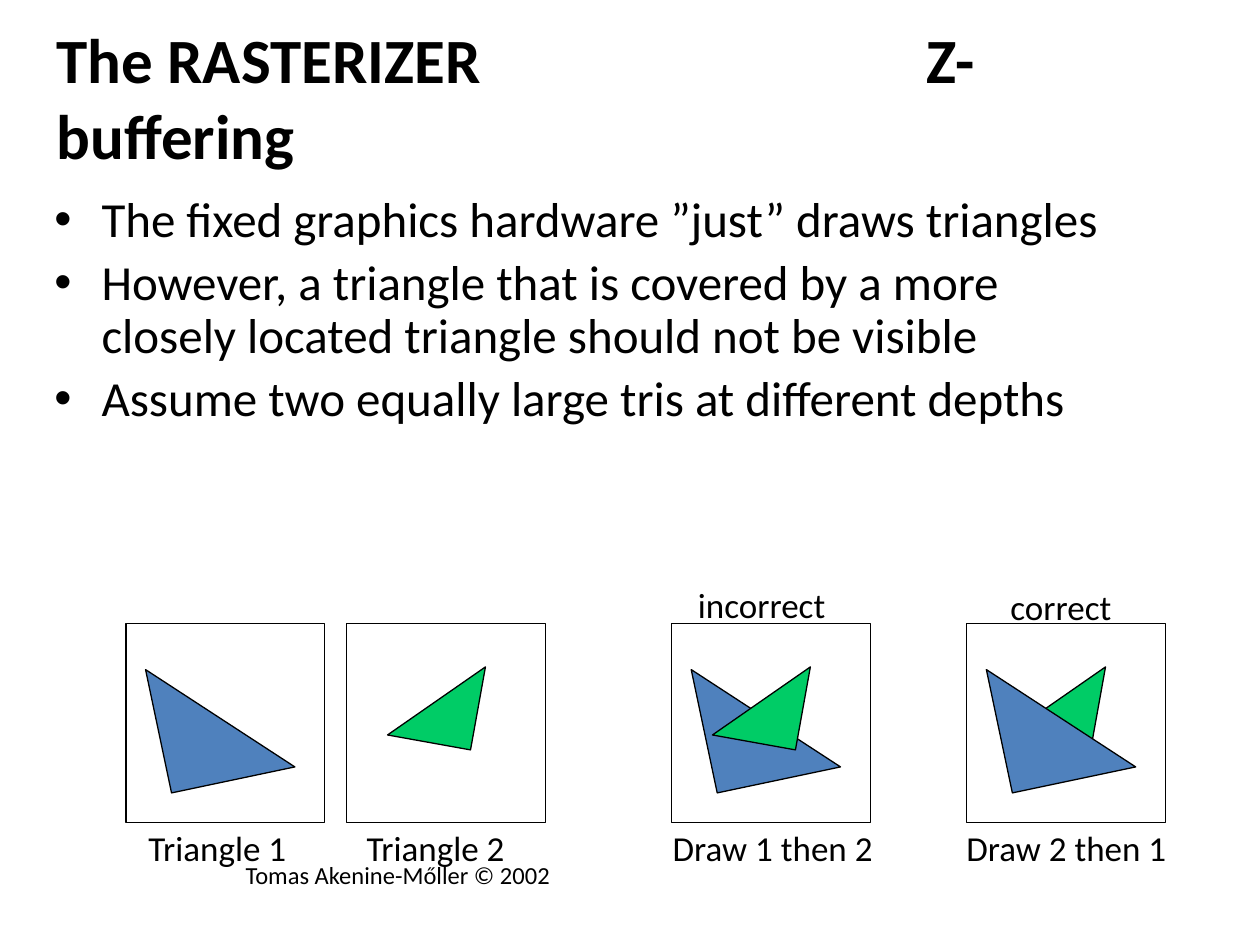
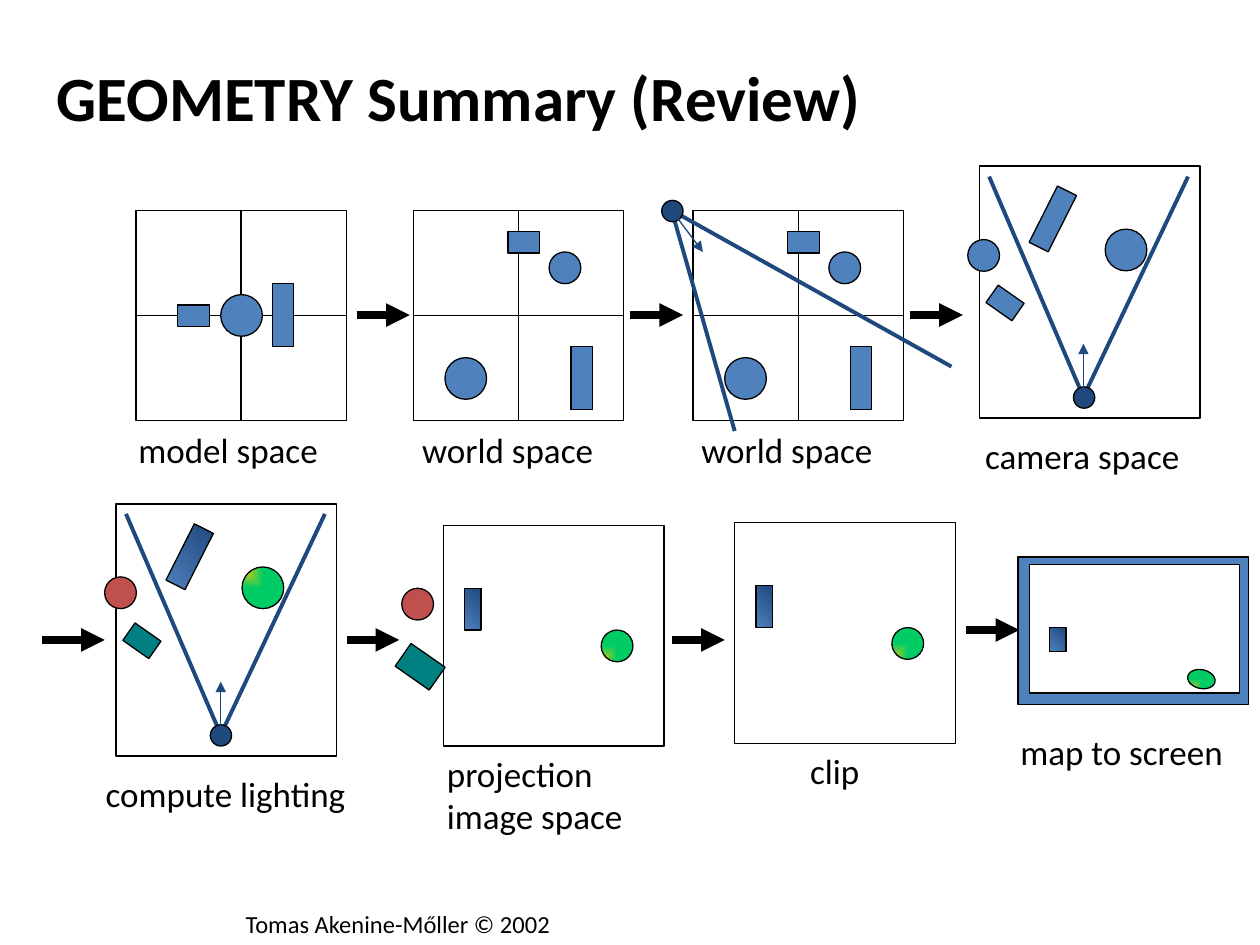
"""Builds two slides on Z-buffering and the geometry stage."""
from lxml import etree
from pptx import Presentation
from pptx import util as u
from pptx.dml.color import RGBColor
from pptx.enum import shapes, text
from pptx.oxml.ns import qn

BLACK, WHITE = "000000", "FFFFFF"
BLUE, NAVY, GREEN = "4F81BD", "1F497D", "00CC66"
RED, TEAL, GOLD = "C0504D", "008080", "FFCC00"
METAL = (BLUE, NAVY, None)
GLOW_TOP = (GOLD, GREEN, {"r": "100000", "b": "100000"})
GLOW_LOW = (GOLD, GREEN, {"t": "100000", "r": "100000"})

FONT = {"name": "Calibri", "size": u.Pt(20), "bold": False}
HEAD = {"size": u.Pt(36), "bold": True}
LIST = {"size": u.Pt(28)}
NOTE = {"size": u.Pt(14)}
KIND = shapes.MSO_SHAPE
RECT, OVAL, WEDGE = KIND.RECTANGLE, KIND.OVAL, KIND.RIGHT_TRIANGLE
CREDIT = "Tomas Akenine-Mőller © 2002"
CELL = 1.67
MID = CELL / 2


def cm(*vals):
    """Turn inches into lengths given with Cm."""
    return [u.Cm(round(val * 2.54, 2)) for val in vals]


def ink(code):
    """Turn a hex string into a colour."""
    return RGBColor.from_string(code)


def put(item, vals):
    """Set attributes of an item from a dict."""
    for key, val in vals.items():
        setattr(item, key, val)


def write(frame, lines, look):
    """Write lines into a text frame, one paragraph each."""
    put(frame, {"word_wrap": True, "auto_size": text.MSO_AUTO_SIZE.NONE})
    for num, line in enumerate(lines):
        para = frame.paragraphs[0] if num == 0 else frame.add_paragraph()
        para.alignment = text.PP_ALIGN.LEFT
        run = para.add_run()
        run.text = line
        put(run.font, {**FONT, **look})
        run.font.color.rgb = ink(BLACK)
    frame.paragraphs[0].space_before = u.Pt(0)


def place(item, box):
    """Move and size an item to a box."""
    put(item, dict(zip(("left", "top", "width", "height"), cm(*box))))


def label(slide, words, box, look=None, anchor=text.MSO_ANCHOR.TOP):
    """Add a text box."""
    item = slide.shapes.add_textbox(*cm(*box))
    item.text_frame.vertical_anchor = anchor
    write(item.text_frame, words.split("\n"), look or {})


def blend(item, first, last, focus):
    """Fill a shape with a slanted blend, or one from a corner."""
    item.fill.gradient()
    item.fill.gradient_angle = 45
    for stop, code in zip(item.fill.gradient_stops, (first, last)):
        stop.color.rgb = ink(code)
    grad = item.element.spPr.find(qn("a:gradFill"))
    grad.set("rotWithShape", "0")
    if focus:
        grad.remove(grad.find(qn("a:lin")))
        way = etree.SubElement(grad, qn("a:path"), {"path": "rect"})
        etree.SubElement(way, qn("a:fillToRect"), focus)


def form(slide, kind, box, fill=None, turn=0):
    """Add a thinly outlined preset shape."""
    item = slide.shapes.add_shape(kind, *cm(*box))
    item.shadow.inherit = False
    item.rotation = turn
    item.line.width = u.Pt(0.75)
    item.line.color.rgb = ink(BLACK)
    if fill is None:
        item.fill.background()
    elif isinstance(fill, tuple):
        blend(item, *fill)
    else:
        item.fill.solid()
        item.fill.fore_color.rgb = ink(fill)


def line(slide, ends, width=0.75, code=BLACK, arrow=False):
    """Add a straight line, with an arrowhead if asked."""
    item = slide.shapes.add_connector(shapes.MSO_CONNECTOR.STRAIGHT, *cm(*ends))
    item.line.width = u.Pt(width)
    item.line.color.rgb = ink(code)
    if arrow:
        etree.SubElement(item.line._get_or_add_ln(), qn("a:tailEnd"), type="triangle")
    etree.SubElement(item.element.spPr, qn("a:effectLst"))


def step(slide, x, y, size=0.42):
    """Add a thick arrow between two stages."""
    line(slide, (x, y, x + size, y), 4.5, arrow=True)


def base(deck, layout, title, width, foot):
    """Add a slide with its title and footer."""
    slide = deck.slides.add_slide(deck.slide_layouts[layout])
    place(slide.shapes.title, (0.35, 0.35, width, 0.83))
    frame = slide.shapes.title.text_frame
    frame.vertical_anchor = text.MSO_ANCHOR.MIDDLE
    write(frame, [title], HEAD)
    label(slide, CREDIT, (1.85, foot, 4.4, 0.18), NOTE, text.MSO_ANCHOR.MIDDLE)
    return slide


def depth(slide, x, y, order, name, inset, width):
    """Draw a frame with its triangles in the given order."""
    parts = {1: ((x + 0.25, y + 0.25, 1, 1), BLUE, 348.1),
             2: ((x + 0.38, y + 0.28, 0.67, 0.67), GREEN, 280.2)}
    form(slide, RECT, (x, y, 1.58, 1.58))
    for num in order:
        box, fill, turn = parts[num]
        form(slide, WEDGE, box, fill, turn)
    label(slide, name, (x + inset, y + 1.56, width, 0.43))


def grid(slide, x, y, name, inset, width):
    """Draw a square with axes and a name below."""
    form(slide, RECT, (x, y, CELL, CELL))
    line(slide, (x, y + MID, x + CELL, y + MID))
    line(slide, (x + MID, y + CELL, x + MID, y))
    label(slide, name, (x + inset, y + 1.68, width, 0.43))


def model(slide, x, y):
    """Draw the model space stage."""
    grid(slide, x, y, "model space", -0.08, 1.78)
    form(slide, OVAL, (x + 0.67, y + 0.67, 0.33, 0.33), BLUE)
    form(slide, RECT, (x + 0.33, y + 0.75, 0.25, 0.17), BLUE)
    form(slide, RECT, (x + 1.08, y + 0.58, 0.17, 0.5), BLUE)


def world(slide, x, y):
    """Draw the world space stage."""
    grid(slide, x, y, "world space", -0.03, 1.68)
    form(slide, OVAL, (x + 0.25, y + 1.17, 0.33, 0.33), BLUE)
    form(slide, RECT, (x + 0.75, y + 0.17, 0.25, 0.17), BLUE)
    form(slide, RECT, (x + 1.25, y + 1.08, 0.17, 0.5), BLUE)
    form(slide, OVAL, (x + 1.08, y + 0.33, 0.25, 0.25), BLUE)


def eye(slide, x, y, rays, aim):
    """Draw a viewer with two sight rays and an aim arrow."""
    for dx, dy in rays:
        line(slide, (x, y, x + dx, y + dy), 2.25, NAVY)
    form(slide, OVAL, (x - 0.08, y - 0.08, 0.17, 0.17), NAVY)
    line(slide, (x, y, x + aim[0], y + aim[1]), 0.75, NAVY, True)


def view(slide, x, y, fills, name, inset, width):
    """Draw the scene seen from the camera."""
    ball, bar, dot, tile = fills
    form(slide, RECT, (x, y, 1.75, 2))
    eye(slide, x + 0.83, y + 1.83, ((-0.75, -1.75), (0.83, -1.75)), (0, -0.42))
    form(slide, OVAL, (x + 1, y + 0.5, 0.33, 0.33), ball)
    form(slide, RECT, (x + 0.5, y + 0.17, 0.17, 0.5), bar, 26.8)
    form(slide, OVAL, (x - 0.09, y + 0.58, 0.25, 0.25), dot)
    form(slide, RECT, (x + 0.08, y + 1, 0.25, 0.17), tile, 215)
    label(slide, name, (x + inset, y + 2.08, width, 0.43))


def plane(slide, x, y, name, inset, width, height):
    """Draw the projected scene."""
    form(slide, RECT, (x, y, 1.75, 1.75))
    form(slide, OVAL, (x + 1.25, y + 0.83, 0.25, 0.25), GLOW_LOW, 281.8)
    form(slide, RECT, (x + 0.17, y + 0.5, 0.13, 0.33), METAL)
    label(slide, name, (x + inset, y + 1.75, width, height))


def screen(slide, x, y):
    """Draw the final screen."""
    form(slide, RECT, (x, y, 1.83, 1.17), BLUE)
    form(slide, RECT, (x + 0.09, y + 0.06, CELL, 1.02), WHITE)
    form(slide, OVAL, (x + 1.38, y + 0.86, 0.15, 0.22), GLOW_LOW, 281.8)
    form(slide, RECT, (x + 0.25, y + 0.56, 0.13, 0.19), METAL)
    label(slide, "map to screen", (x - 0.08, y + 1.33, 1.96, 0.43))


def buffer(deck):
    """Build the Z-buffering slide."""
    slide = base(deck, 1, "The RASTERIZER\tZ-buffering", 9, 6.85)
    props = slide.shapes.title.text_frame.paragraphs[0]._p.get_or_add_pPr()
    tabs = etree.SubElement(props, qn("a:tabLst"))
    etree.SubElement(tabs, qn("a:tab"), pos=str(cm(6.9)[0]), algn="l")
    body = slide.placeholders[1]
    place(body, (0.33, 1.5, 8.75, 3.92))
    write(body.text_frame, [
        "The fixed graphics hardware ”just” draws triangles",
        "However, a triangle that is covered by a more closely located "
        "triangle should not be visible",
        "Assume two equally large tris at different depths"], LIST)
    for para in body.text_frame.paragraphs:
        para.line_spacing = 0.9
    for x, order, name, inset, width in (
            (1, (1,), "Triangle 1", 0.08, 1.44),
            (2.75, (2,), "Triangle 2", 0.06, 1.44),
            (5.33, (1, 2), "Draw 1 then 2", -0.09, 1.93),
            (7.67, (2, 1), "Draw 2 then 1", -0.1, 1.93)):
        depth(slide, x, 4.95, order, name, inset, width)
    label(slide, "incorrect", (5.44, 4.58, 1.27, 0.43))
    label(slide, "correct", (7.92, 4.6, 1.05, 0.43))


def review(deck):
    """Build the geometry summary slide."""
    slide = base(deck, 5, "GEOMETRY Summary (Review)", 9.99, 7.24)
    model(slide, 1.08, 1.67)
    for x in (3.28, 5.5):
        world(slide, x, 1.67)
    eye(slide, 5.33, 1.67, ((0.5, 1.75), (2.22, 1.24)), (0.25, 0.33))
    view(slide, 7.77, 1.32, [BLUE] * 4, "camera space", -0.05, 1.94)
    view(slide, 0.92, 4, (GLOW_TOP, METAL, RED, TEAL), "compute lighting", -0.18, 2.22)
    plane(slide, 3.52, 4.17, "projection\nimage space", -0.07, 1.78, 0.77)
    form(slide, OVAL, (3.19, 4.67, 0.25, 0.25), RED)
    form(slide, RECT, (3.17, 5.18, 0.33, 0.22), TEAL, 215)
    plane(slide, 5.83, 4.15, "clip", 0.5, 0.62, 0.43)
    screen(slide, 8.08, 4.42)
    for x in (2.83, 5, 7.22):
        step(slide, x, 2.5)
    step(slide, 0.33, 5.08, 0.5)
    for x, y in ((2.75, 5.08), (5.33, 5.08), (7.67, 5)):
        step(slide, x, y)


def main():
    """Build and save the deck."""
    deck = Presentation()
    deck.slide_width, deck.slide_height = cm(10, 7.5)
    buffer(deck)
    review(deck)
    deck.save("out.pptx")


if __name__ == "__main__":
    main()
